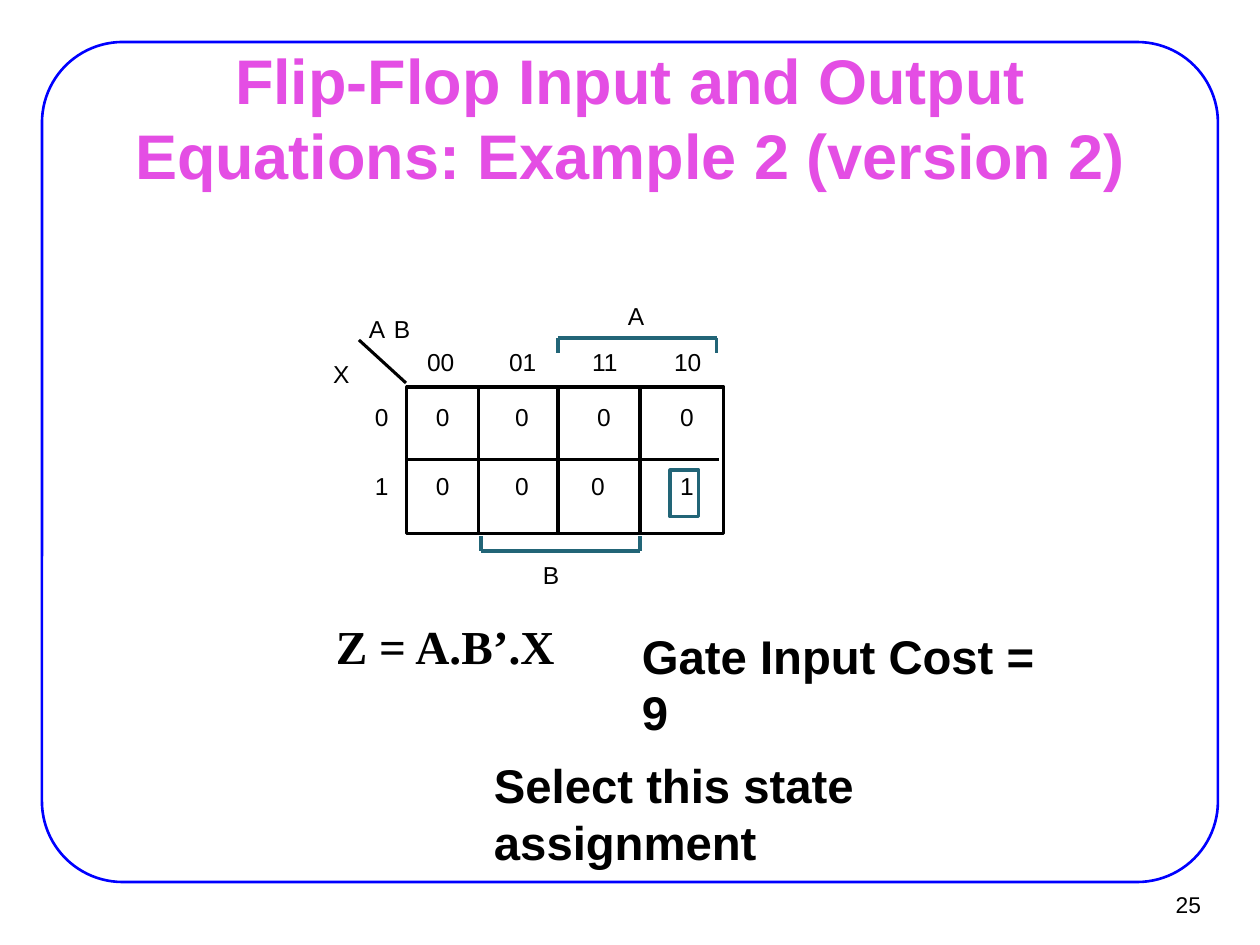
from lxml import etree
from pptx import Presentation
from pptx.dml.color import RGBColor
from pptx.enum import shapes, text
from pptx.oxml.ns import qn
from pptx.util import Pt

SCALE = 914400 // 126  # EMU per pixel
COLORS = {"frame": "0000FF", "title": "E44EE4", "ink": "000000", "teal": "226577"}

# Content: Karnaugh map of Z
COLUMN_LABELS = ["00", "01", "11", "10"]
ROW_LABELS = ["0", "1"]
CELLS = [["0", "0", "0", "0"], ["0", "0", "0", "1"]]
VARIABLES = [("A", 369, 314), ("B", 394, 314), ("A", 628, 301),
             ("B", 543, 560), ("X", 333, 359)]
# text, box, font
STATEMENTS = [
    ("Z = A.B’.X", (323, 611, 466, 69), "Times New Roman"),
    ("Gate Input Cost = 9", (629, 621, 457, 69), "Arial"),
    ("Select this state assignment", (481, 750, 660, 69), "Arial"),
]

# Map geometry
LEFT, TOP, RIGHT, BOTTOM = 407, 387, 724, 534
MIDDLE = 460
DIVIDERS = [479, 558, 640]
CELL_TEXT_X = [[436, 515, 597, 680], [436, 515, 591, 680]]
ROW_TEXT_Y = [402, 471]
# Bracket corners, from one open end to the other
BRACKETS = [
    [(558, 353), (558, 338), (717, 338), (717, 353)],
    [(481, 536), (481, 551), (640, 551), (640, 536)],
]

presentation = Presentation()
presentation.slide_width, presentation.slide_height = 1260 * SCALE, 945 * SCALE
slide = presentation.slides.add_slide(presentation.slide_layouts[6])


def px(values):
    return [value * SCALE for value in values]


def rgb(name):
    return RGBColor.from_string(COLORS[name])


def add_outline(kind, box, color, width):
    shape = slide.shapes.add_shape(kind, *px(box))
    shape.shadow.inherit = False
    shape.fill.background()
    shape.line.color.rgb = rgb(color)
    shape.line.width = Pt(width)
    return shape


def add_line(start, end, color="ink"):
    line = slide.shapes.add_connector(shapes.MSO_CONNECTOR.STRAIGHT, *px(start + end))
    line.line.color.rgb = rgb(color)
    line.line.width = Pt(1.75)
    etree.SubElement(line._element.spPr, qn("a:effectLst"))


def add_text(content, box, size=14, font="Arial", color="ink", bold=False,
             align=text.PP_ALIGN.LEFT, anchor=text.MSO_ANCHOR.TOP, inset=(0, 0)):
    frame = slide.shapes.add_textbox(*px(box)).text_frame
    frame.word_wrap = True
    frame.vertical_anchor = anchor
    frame.margin_left = frame.margin_right = inset[0] * SCALE
    frame.margin_top = frame.margin_bottom = inset[1] * SCALE
    paragraph = frame.paragraphs[0]
    paragraph.alignment = align
    run = paragraph.add_run()
    run.text = content
    run.font.size, run.font.name, run.font.bold = Pt(size), font, bold
    run.font.color.rgb = rgb(color)


def add_label(content, x, y):
    add_text(content, (x, y, 17 * len(content), 29))


# Frame, page number and title
frame_shape = add_outline(shapes.MSO_SHAPE.ROUNDED_RECTANGLE, (42, 42, 1176, 840), "frame", 1.5)
frame_shape.adjustments[0] = 0.096
add_text("25", (1137, 881, 76, 47), 13, align=text.PP_ALIGN.RIGHT,
         anchor=text.MSO_ANCHOR.MIDDLE, inset=(12, 6))
add_text("Flip-Flop Input and Output Equations: Example 2 (version 2)",
         (95, 86, 1071, 62), 36, color="title", bold=True,
         align=text.PP_ALIGN.CENTER, anchor=text.MSO_ANCHOR.MIDDLE, inset=(14, 7))

# Map grid
add_outline(shapes.MSO_SHAPE.RECTANGLE, (LEFT, TOP, RIGHT - LEFT, BOTTOM - TOP), "ink", 1.75)
add_line((LEFT, MIDDLE), (719, MIDDLE))
for x in DIVIDERS:
    add_line((x, TOP), (x, BOTTOM))
add_line((406, 383), (359, 340))

# Brackets spanning A and B
for corners in BRACKETS:
    for start, end in zip(corners, corners[1:]):
        add_line(start, end, "teal")

# Labels and cell values
for name, x, y in VARIABLES:
    add_label(name, x, y)
for index, label in enumerate(COLUMN_LABELS):
    add_label(label, 427 + round(82.3 * index), 347)
for label, values, columns, y in zip(ROW_LABELS, CELLS, CELL_TEXT_X, ROW_TEXT_Y):
    add_label(label, 375, y)
    for value, x in zip(values, columns):
        add_label(value, x, y)

# Loop around the single minterm
add_outline(shapes.MSO_SHAPE.RECTANGLE, (670, 470, 29, 47), "teal", 1.75)

# Equation and conclusions
for content, box, font in STATEMENTS:
    add_text(content, box, 27, font, bold=True, inset=(13, 6))

presentation.save("out.pptx")
